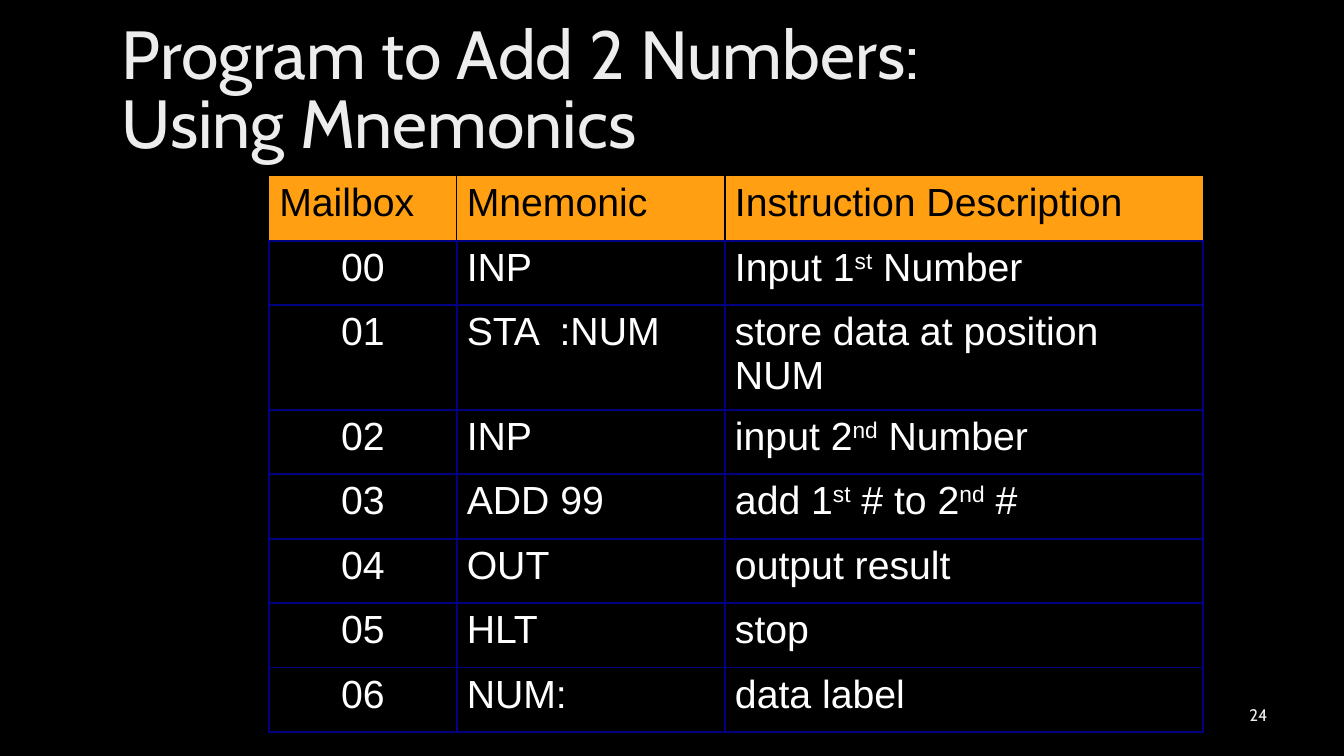
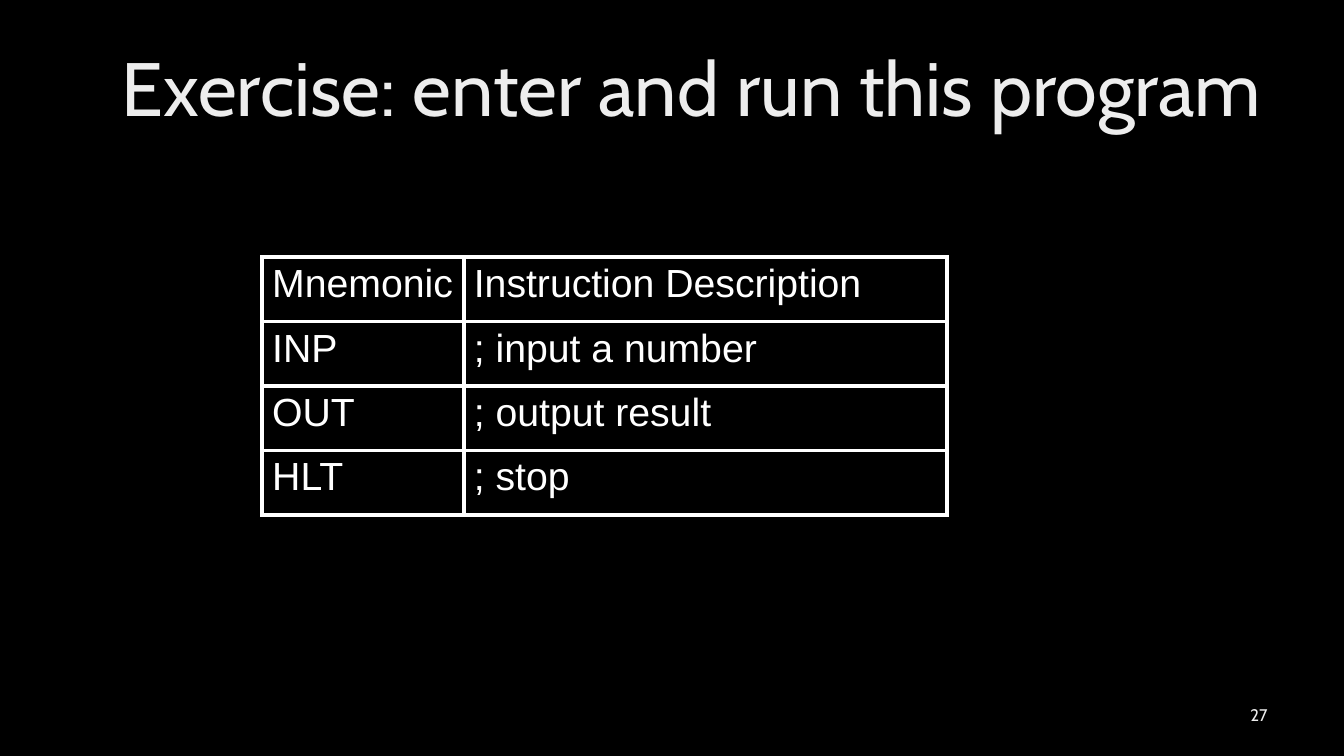
from pptx import Presentation
from pptx.dml.color import RGBColor
from pptx.enum.text import MSO_ANCHOR as ANCHOR, PP_ALIGN as ALIGN
from pptx.oxml.xmlchemy import OxmlElement
from pptx.util import Inches, Pt

BLACK, WHITE, PALE = "000000", "FFFFFF", "EDEDED"
ORANGE, NAVY = "FF9F11", "000080"
TITLE_BOX = (1.11, 0.3, 11.56, 1.25)
NUMBER_BOX = (9.56, 6.83, 3.11, 0.52)
ROW = 0.64
TALL_ROW = 0.97


def rgb(value):
    return RGBColor.from_string(value)


def write(tf, text, size=28, font="Arial", color=WHITE, align=ALIGN.LEFT, spacing=None):
    p = tf.paragraphs[0]
    p.alignment = align
    if spacing:
        p.line_spacing = spacing
    for n, line in enumerate(text.split("\n")):
        if n:
            p.add_line_break()
        for i, part in enumerate(line.split("^")):
            if not part:
                continue
            r = p.add_run()
            r.text = part
            r.font.size, r.font.name = Pt(size), font
            r.font.color.rgb = rgb(color)
            if i % 2:
                r.font._element.set("baseline", "30000")


def text_box(slide, box, text, **fmt):
    tf = slide.shapes.add_textbox(*map(Inches, box)).text_frame
    tf.word_wrap = True
    tf.vertical_anchor = ANCHOR.MIDDLE
    write(tf, text, font="Cabin", color=PALE, **fmt)


def set_borders(cell, borders):
    tcPr = cell._tc.get_or_add_tcPr()
    for side in "LRTB":
        color, width = borders[side]
        ln = OxmlElement(f"a:ln{side}")
        ln.set("w", str(Pt(width)))
        fill, clr = OxmlElement("a:solidFill"), OxmlElement("a:srgbClr")
        clr.set("val", color)
        fill.append(clr)
        ln.append(fill)
        tcPr.append(ln)


def header_borders(col, last, line):
    edge, divider = (ORANGE, 1), (BLACK, 1)
    return {"L": divider if col else edge, "R": edge if col == last else divider,
            "T": edge, "B": line}


def add_grid(slide, left, top, widths, heights, rows, line, header=None, centred=()):
    table = slide.shapes.add_table(
        len(rows), len(widths), Inches(left), Inches(top),
        Inches(sum(widths)), Inches(sum(heights))).table
    table.first_row = table.horz_banding = False
    for column, width in zip(table.columns, widths):
        column.width = Inches(width)
    for row, height in zip(table.rows, heights):
        row.height = Inches(height)
    for i, texts in enumerate(rows):
        for j, text in enumerate(texts):
            cell = table.cell(i, j)
            is_header = header and i == 0
            set_borders(cell, header_borders(j, len(widths) - 1, line) if is_header
                        else dict.fromkeys("LRTB", line))
            if is_header:
                cell.fill.solid()
                cell.fill.fore_color.rgb = rgb(header)
            else:
                cell.fill.background()
            write(cell.text_frame, text, color=BLACK if is_header else WHITE,
                  align=ALIGN.CENTER if i and j in centred else ALIGN.LEFT)


def add_page(prs, title, number, size):
    slide = prs.slides.add_slide(prs.slide_layouts[6])
    text_box(slide, NUMBER_BOX, number, size=12, align=ALIGN.RIGHT)
    text_box(slide, TITLE_BOX, title, size=size, spacing=0.85)
    return slide


def mnemonics_slide(prs):
    slide = add_page(prs, "Program to Add 2 Numbers:\nUsing Mnemonics", "24", 48.6)
    steps = [
        ("INP", "Input 1^st^ Number"),
        ("STA  :NUM", "store data at position NUM"),
        ("INP", "input 2^nd^ Number"),
        ("ADD 99", "add 1^st^ # to 2^nd^ #"),
        ("OUT", "output result"),
        ("HLT", "stop"),
        ("NUM:", "data label"),
    ]
    rows = [("Mailbox", "Mnemonic", "Instruction Description")]
    rows += [(f"{n:02}", *step) for n, step in enumerate(steps)]
    heights = [ROW] * 2 + [TALL_ROW] + [ROW] * 5
    add_grid(slide, 2.67, 1.75, (1.86, 2.66, 4.74), heights, rows,
             line=(NAVY, 1.5), header=ORANGE, centred=(0,))


def exercise_slide(prs):
    slide = add_page(prs, "Exercise: enter and run this program", "27", 54)
    rows = [
        ("Mnemonic", "Instruction Description"),
        ("INP", "; input a number"),
        ("OUT", "; output result"),
        ("HLT", "; stop"),
    ]
    add_grid(slide, 2.6, 2.55, (2, 4.79), [ROW] * len(rows), rows, line=(WHITE, 3))


prs = Presentation()
prs.slide_width, prs.slide_height = Inches(13.33), Inches(7.5)
background = prs.slide_master.background.fill
background.solid()
background.fore_color.rgb = rgb(BLACK)
mnemonics_slide(prs)
exercise_slide(prs)
prs.save("out.pptx")
